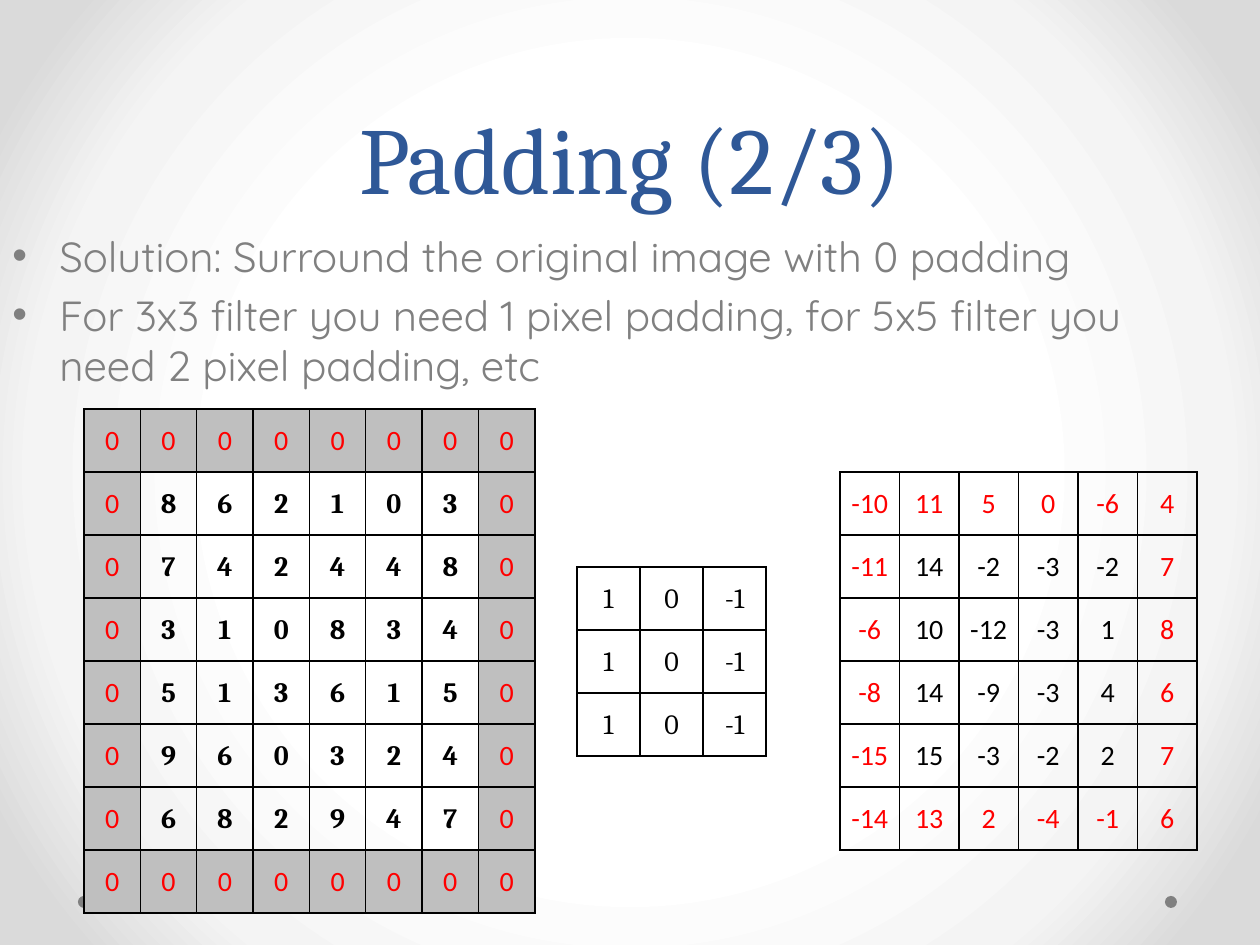
from pptx import Presentation, util as u
from pptx.dml.color import RGBColor
from pptx.enum import shapes, text
from pptx.oxml import parse_xml
from pptx.oxml.ns import nsdecls, qn

PX = u.Inches(1) / 126
COLORS = {"title": "2F5897", "gray": "808080", "red": "FF0000",
          "black": "000000", "padding": "BFBFBF"}
GRADIENT = {50: "FFFFFF", 76: "F4F4F4", 92: "DADADA"}


def px(*lengths):
    return [round(n * PX) for n in lengths]


def add_grid(box, rows, style):
    """Draw a bordered number table; style(on_edge) gives font, colour, bold, fill."""
    n = len(rows)
    table = s.shapes.add_table(n, n, *px(*box)).table
    table.first_row = table.horz_banding = False
    for i, row in enumerate(rows):
        for j, value in enumerate(row):
            font, color, bold, fill = style(i in (0, n - 1) or j in (0, n - 1))
            cell = table.cell(i, j)
            cell.margin_left, cell.margin_right, cell.margin_top, cell.margin_bottom = px(1, 1, 1, 0)
            cell.vertical_anchor = text.MSO_ANCHOR.MIDDLE
            p = cell.text_frame.paragraphs[0]
            p.text = str(value)
            p.alignment = text.PP_ALIGN.CENTER
            p.font.name, p.font.size, p.font.bold = font, u.Pt(16), bold
            p.font.color.rgb = RGBColor.from_string(COLORS[color])
            tcPr = cell._tc.get_or_add_tcPr()
            for side in ("lnL", "lnR", "lnT", "lnB"):
                tcPr.append(parse_xml(
                    f'<a:{side} {nsdecls("a")} w="12700"><a:solidFill>'
                    f'<a:srgbClr val="{COLORS["black"]}"/></a:solidFill></a:{side}>'))
            if fill:
                cell.fill.solid()
                cell.fill.fore_color.rgb = RGBColor.from_string(COLORS[fill])
            else:
                cell.fill.background()


prs = Presentation()
prs.slide_width, prs.slide_height = px(1260, 945)
s = prs.slides.add_slide(prs.slide_layouts[6])

# Radial background
s.background.fill.gradient()
grad = next(s._element.iter(qn("a:gradFill")))
stops = "".join(f'<a:gs pos="{pos * 1000}"><a:srgbClr val="{color}"/></a:gs>'
                for pos, color in GRADIENT.items())
grad.getparent().replace(grad, parse_xml(
    f'<a:gradFill {nsdecls("a")} rotWithShape="1"><a:gsLst>{stops}</a:gsLst>'
    '<a:path path="circle"><a:fillToRect l="50000" t="50000" r="50000" b="50000"/>'
    '</a:path></a:gradFill>'))

# Footer dots
for left in (1165, 78):
    sp = s.shapes.add_shape(shapes.MSO_SHAPE.OVAL, *px(left, 896, 12, 12))
    sp.shadow.inherit = False
    sp.fill.solid()
    sp.fill.fore_color.rgb = RGBColor.from_string(COLORS["gray"])
    sp.line.fill.background()

# Title
tf = s.shapes.add_textbox(*px(63, 0, 1134, 220)).text_frame
tf.word_wrap = True
tf.vertical_anchor = text.MSO_ANCHOR.BOTTOM
p = tf.paragraphs[0]
p.text = "Padding (2/3)"
p.alignment = text.PP_ALIGN.CENTER
p.line_spacing = u.Pt(58)
p.font.name, p.font.size = "Cambria", u.Pt(54)
p.font.color.rgb = RGBColor.from_string(COLORS["title"])

# Bullets
tf = s.shapes.add_textbox(*px(0, 224, 1197, 301)).text_frame
tf.word_wrap = True
tf.text = ("Solution: Surround the original image with 0 padding\n"
           "For 3x3 filter you need 1 pixel padding, for 5x5 filter you need 2 pixel padding, etc")
indent, = px(47)
for p in tf.paragraphs:
    p.space_before = u.Pt(5)
    p.font.name, p.font.size = "Quicksand", u.Pt(24)
    p.font.color.rgb = RGBColor.from_string(COLORS["gray"])
    pPr = p._p.get_or_add_pPr()
    pPr.set("marL", str(indent))
    pPr.set("indent", str(-indent))
    for bullet in ('buFont {} typeface="Arial"', 'buChar {} char="•"'):
        pPr.insert_element_before(parse_xml(f'<a:{bullet.format(nsdecls("a"))}/>'),
                                  "a:tabLst", "a:defRPr", "a:extLst")

# Padded image, filter and result
image = [
    [8, 6, 2, 1, 0, 3],
    [7, 4, 2, 4, 4, 8],
    [3, 1, 0, 8, 3, 4],
    [5, 1, 3, 6, 1, 5],
    [9, 6, 0, 3, 2, 4],
    [6, 8, 2, 9, 4, 7],
]
padded = [[0] * 8, *([0, *row, 0] for row in image), [0] * 8]
kernel = [[1, 0, -1]] * 3
result = [
    [-10, 11, 5, 0, -6, 4],
    [-11, 14, -2, -3, -2, 7],
    [-6, 10, -12, -3, 1, 8],
    [-8, 14, -9, -3, 4, 6],
    [-15, 15, -3, -2, 2, 7],
    [-14, 13, 2, -4, -1, 6],
]
add_grid((84, 409, 451, 504), padded,
         lambda edge: ("Calibri", "red", False, "padding") if edge
         else ("Cambria", "black", True, None))
add_grid((577, 567, 189, 189), kernel, lambda edge: ("Cambria", "black", False, None))
add_grid((840, 472, 357, 378), result,
         lambda edge: ("Calibri", "red" if edge else "black", False, None))

prs.save("out.pptx")
